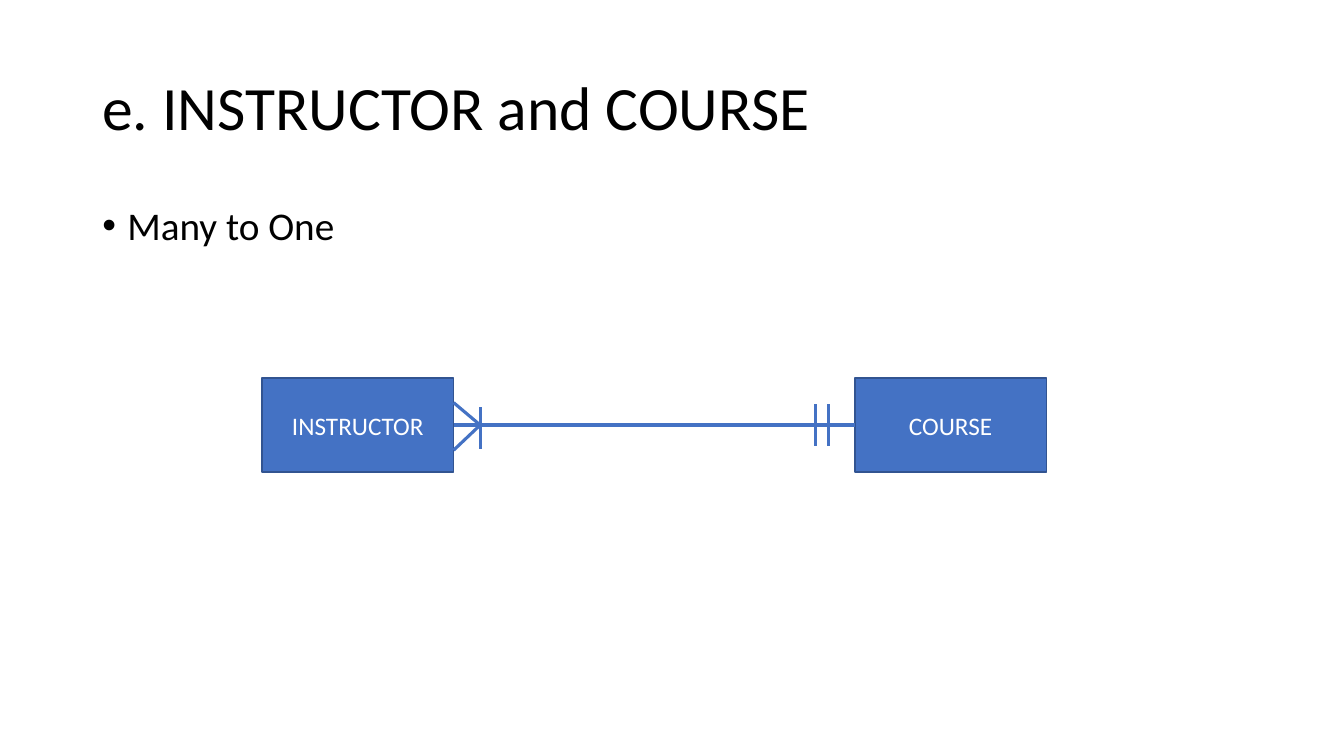
from lxml.etree import SubElement
from pptx import Presentation
from pptx.dml.color import RGBColor
from pptx.enum.shapes import MSO_CONNECTOR as Link, MSO_SHAPE as Shape
from pptx.enum.text import MSO_ANCHOR as Anchor, PP_ALIGN as Align
from pptx.oxml.ns import qn
from pptx.util import Pt

BLACK = RGBColor(0x00, 0x00, 0x00)
WHITE = RGBColor(0xFF, 0xFF, 0xFF)
BLUE = RGBColor(0x44, 0x72, 0xC4)
NAVY = RGBColor(0x32, 0x54, 0x91)
FONT = "Calibri"


def write(shape, text, size=18, color=BLACK, align=Align.LEFT,
          anchor=Anchor.MIDDLE, lines=1.0, before=0, bullet=None):
    frame = shape.text_frame
    frame.word_wrap = True
    frame.vertical_anchor = anchor
    para = frame.paragraphs[0]
    para.alignment = align
    para.line_spacing = lines
    para.space_before = Pt(before)
    run = para.add_run()
    run.text = text
    run.font.name = FONT
    run.font.size = Pt(size)
    run.font.color.rgb = color
    if bullet:
        props = para._p.get_or_add_pPr()
        props.set("marL", str(Pt(18)))
        props.set("indent", str(Pt(-18)))
        SubElement(props, qn("a:buFont")).set("typeface", "Arial")
        SubElement(props, qn("a:buChar")).set("char", bullet)


def add_text(slide, box, text, **style):
    shape = slide.shapes.add_textbox(*map(Pt, box))
    write(shape, text, **style)


def add_line(slide, x1, y1, x2, y2):
    line = slide.shapes.add_connector(Link.STRAIGHT, *map(Pt, (x1, y1, x2, y2)))
    line.line.color.rgb = BLUE
    line.line.width = Pt(2.25)
    SubElement(line._element.spPr, qn("a:effectLst"))


def add_entity(slide, box, name):
    shape = slide.shapes.add_shape(Shape.RECTANGLE, *map(Pt, box))
    shape.shadow.inherit = False
    shape.fill.solid()
    shape.fill.fore_color.rgb = BLUE
    shape.line.color.rgb = NAVY
    shape.line.width = Pt(1)
    write(shape, name, color=WHITE, align=Align.CENTER)


def add_relation(slide, box, many, one):
    left, top, width, height = box
    wide = 136.8
    start, end = left + wide, left + width - wide
    mid = top + height / 2
    add_entity(slide, (left, top, wide, height), many)
    add_entity(slide, (end, top, wide, height), one)
    add_line(slide, start, mid, end, mid)
    fork = start + 19
    for rise in (-16, 18):
        add_line(slide, fork, mid, start, mid + rise)
    for x, shift in ((fork, 2.2), (end - 28.2, 0), (end - 18.8, 0)):
        add_line(slide, x, mid + shift - 15, x, mid + shift + 15)


def build(deck):
    slide = deck.slides.add_slide(deck.slide_layouts[6])
    add_text(slide, (66, 27, 828, 104.4), "e. INSTRUCTOR and COURSE",
             size=44, lines=0.9)
    add_text(slide, (66, 144, 828, 342.7), "Many to One", size=28,
             anchor=Anchor.TOP, lines=0.9, before=10, bullet="•")
    add_relation(slide, (187.2, 270, 560.2, 67.2), "INSTRUCTOR", "COURSE")


deck = Presentation()
deck.slide_width = Pt(960)
deck.slide_height = Pt(540)
build(deck)
deck.save("out.pptx")
